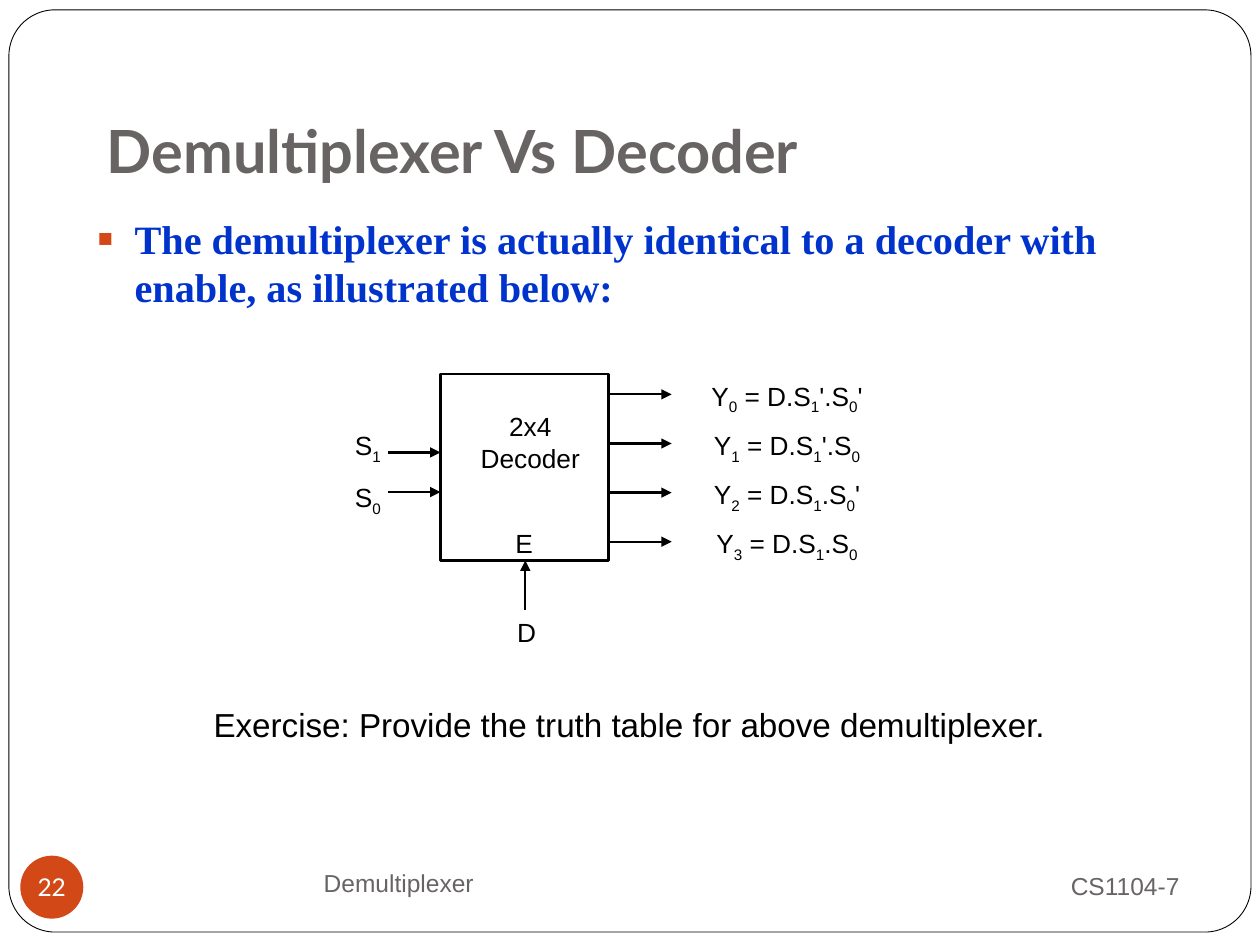
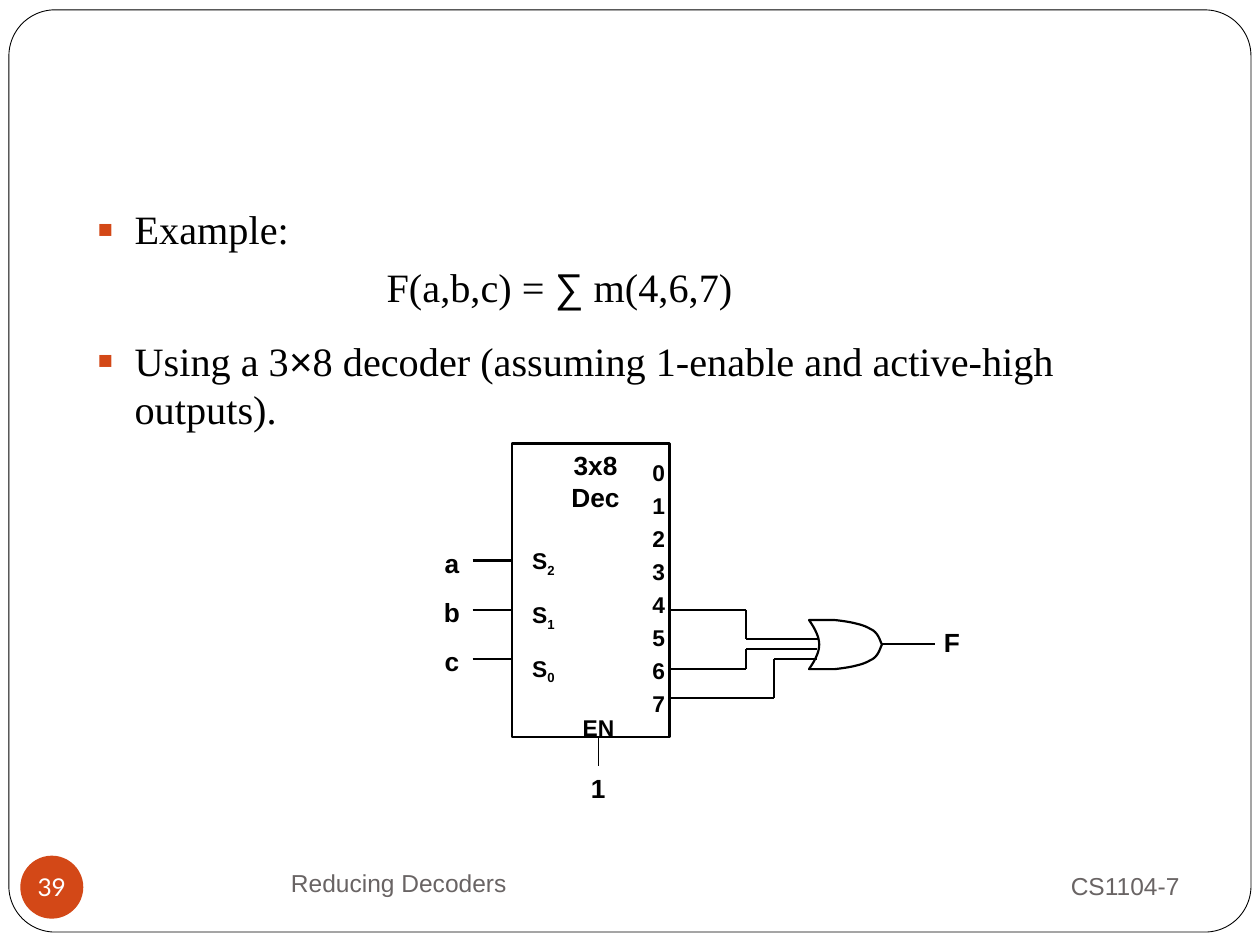
import collections
import itertools

import pptx
import pptx.dml.color
import pptx.enum.shapes
import pptx.enum.text
import pptx.oxml.ns
import pptx.util
from lxml import etree

Cm, Pt = pptx.util.Cm, pptx.util.Pt
SHAPE = pptx.enum.shapes.MSO_SHAPE
ALIGN = pptx.enum.text.PP_ALIGN
ANCHOR = pptx.enum.text.MSO_ANCHOR
qn = pptx.oxml.ns.qn

COLORS = {"ink": "000000", "grey": "696464", "accent": "D34817",
          "blue": "0033CC", "white": "FFFFFF"}
SANS, SERIF, HEADING = "Arial", "Times New Roman", "Lato"
LABEL_HEIGHT = 0.89

# All box lengths are in centimetres
Box = collections.namedtuple("Box", "x y w h")


def color(name):
    return pptx.dml.color.RGBColor.from_string(COLORS[name])


def inside(box, x, y, w, h):
    """Turn a position relative to box into a box on the slide."""
    return Box(box.x + x, box.y + y, w, h)


def emu(box):
    return [Cm(v) for v in box]


def move(sp, box):
    sp.left, sp.top, sp.width, sp.height = emu(box)


def style(r, size, font=SANS, tint="ink", bold=False):
    r.font.size, r.font.name, r.font.bold = Pt(size), font, bold
    r.font.color.rgb = color(tint)


def add_text(s, box, lines, size=15, bold=False, tint="ink", align=ALIGN.CENTER,
             anchor=ANCHOR.TOP, gap=0):
    """Write lines of text; the character after an underscore is a subscript."""
    tf = s.shapes.add_textbox(*emu(box)).text_frame
    tf.word_wrap, tf.vertical_anchor = True, anchor
    for i, line in enumerate(lines):
        p = tf.add_paragraph() if i else tf.paragraphs[0]
        p.alignment = align
        p.space_before = Pt(gap if i else 0)
        head, *tails = line.split("_")
        pieces = [(head, False)]
        for tail in tails:
            pieces += [(tail[0], True), (tail[1:], False)]
        for piece, is_sub in pieces:
            if piece:
                r = p.add_run()
                r.text = piece
                style(r, size, tint=tint, bold=bold)
                if is_sub:
                    r._r.get_or_add_rPr().set("baseline", "-25000")


def outline(sp, width):
    sp.shadow.inherit = False
    sp.fill.background()
    sp.line.color.rgb, sp.line.width = color("ink"), Pt(width)


def add_block(s, box):
    outline(s.shapes.add_shape(SHAPE.RECTANGLE, *emu(box)), 1.5)


def add_wire(s, box, *points, arrow=False, width=1.25):
    """Join points, relative to box, with straight lines."""
    for (x1, y1), (x2, y2) in itertools.pairwise(points):
        c = s.shapes.add_connector(
            pptx.enum.shapes.MSO_CONNECTOR.STRAIGHT,
            Cm(box.x + x1), Cm(box.y + y1), Cm(box.x + x2), Cm(box.y + y2))
        c.line.color.rgb, c.line.width = color("ink"), Pt(width)
        props = c._element.spPr
        etree.SubElement(props, qn("a:effectLst"))
        if arrow:
            etree.SubElement(props.find(qn("a:ln")), qn("a:tailEnd"), type="triangle")


def add_frame(s, page, section):
    """Rounded border, footers and page badge, the same on every slide."""
    border = s.shapes.add_shape(SHAPE.ROUNDED_RECTANGLE, *emu(Box(0.18, 0.2, 25.04, 18.59)))
    border.adjustments[0] = 0.05
    outline(border, 0.5)

    add_text(s, Box(17.15, 17.2, 6.88, 1.32), ["CS1104-7"], 14, tint="grey",
             align=ALIGN.RIGHT, anchor=ANCHOR.MIDDLE)
    add_text(s, Box(2.54, 17.15, 11, 1.27), [section], 14, tint="grey",
             anchor=ANCHOR.MIDDLE)

    badge = s.shapes.add_shape(SHAPE.OVAL, *emu(Box(0.41, 17.25, 1.27, 1.27)))
    badge.shadow.inherit = False
    badge.fill.solid()
    badge.fill.fore_color.rgb = color("accent")
    badge.line.fill.background()
    tf = badge.text_frame
    tf.margin_left = tf.margin_right = tf.margin_top = tf.margin_bottom = 0
    tf.word_wrap, tf.vertical_anchor = False, ANCHOR.MIDDLE
    tf.text = page
    tf.paragraphs[0].alignment = ALIGN.CENTER
    style(tf.paragraphs[0].runs[0], 14, HEADING, "white")


def set_title(s, title):
    sp = s.shapes.title
    if not title:
        sp._element.getparent().remove(sp._element)
        return
    move(sp, Box(1.9, 1.02, 21.59, 2.97))
    tf = sp.text_frame
    tf.text = title
    tf.auto_size = pptx.enum.text.MSO_AUTO_SIZE.NONE
    tf.vertical_anchor, tf.margin_bottom = ANCHOR.BOTTOM, Cm(0.25)
    tf.paragraphs[0].alignment = ALIGN.LEFT
    style(tf.paragraphs[0].runs[0], 34, HEADING, "grey", True)


def set_bullet(p, bulleted):
    """Square bullet with a hanging indent, or a plain indented line."""
    props = p._p.get_or_add_pPr()
    props.set("marL", str(Cm(0.76 if bulleted else 5.84)))
    props.set("indent", str(Cm(-0.76 if bulleted else 0)))
    if not bulleted:
        etree.SubElement(props, qn("a:buNone"))
        return
    tint = etree.SubElement(props, qn("a:buClr"))
    etree.SubElement(tint, qn("a:srgbClr"), val=COLORS["accent"])
    etree.SubElement(props, qn("a:buSzPct"), val="120000")
    etree.SubElement(props, qn("a:buChar"), char="▪")


def set_body(s, box, lines, tint="ink", bold=False):
    """Fill the body with (text, bulleted, space before) lines."""
    sp = s.placeholders[1]
    move(sp, box)
    tf = sp.text_frame
    tf.auto_size = pptx.enum.text.MSO_AUTO_SIZE.NONE
    for i, (line, bulleted, gap) in enumerate(lines):
        p = tf.add_paragraph() if i else tf.paragraphs[0]
        p.space_before = Pt(gap)
        set_bullet(p, bulleted)
        for is_symbol, chars in itertools.groupby(line, lambda ch: ch in "∑×"):
            r = p.add_run()
            r.text = "".join(chars)
            style(r, 23, SANS if is_symbol else SERIF, tint, bold)


def draw_demultiplexer(s, box):
    """2x4 decoder with its select, enable and output lines."""
    left, right, bottom = 2.1, 5.49, 3.76
    add_block(s, inside(box, left, 0, right - left, bottom))
    add_text(s, inside(box, 2.54, 0.61, 2.74, 1.52), ["2x4 Decoder"])

    # Select inputs
    add_text(s, inside(box, 0, 0.99, 1.27, 2.03), ["S_1", "S_0"], gap=9.4)
    for y in (1.58, 2.38):
        add_wire(s, box, (1.05, y), (left, y), arrow=True)

    # Enable input
    add_text(s, inside(box, 3.25, 2.97, 1.07, LABEL_HEIGHT), ["E"])
    add_text(s, inside(box, 3.3, 4.75, 1.07, LABEL_HEIGHT), ["D"])
    add_wire(s, box, (3.81, 4.75), (3.81, bottom), arrow=True)

    # Outputs
    products = ("D.S_1'.S_0'", "D.S_1'.S_0", "D.S_1.S_0'", "D.S_1.S_0")
    for i, product in enumerate(products):
        y = 0.99 * i
        add_wire(s, box, (right, y + 0.41), (6.76, y + 0.41), arrow=True)
        add_text(s, inside(box, 6.76, y, 4.65, 1), [f"Y_{i} = {product}"])


def bezier(a, b, c, d, steps=12):
    """Points along a cubic curve."""
    return [tuple((1 - t) ** 3 * p + 3 * t * (1 - t) ** 2 * q
                  + 3 * t * t * (1 - t) * u + t ** 3 * v
                  for p, q, u, v in zip(a, b, c, d))
            for t in (k / steps for k in range(steps + 1))]


def draw_or_gate(s, box):
    w, h = box.w, box.h
    nose = (bezier((0.35 * w, 0), (0.54 * w, 0.03 * h), (0.73 * w, 0.08 * h), (0.84 * w, 0.18 * h))
            + bezier((0.84 * w, 0.18 * h), (0.95 * w, 0.25 * h), (0.97 * w, 0.41 * h), (w, h / 2)))
    back = (bezier((0, 0), (0.07 * w, 0.15 * h), (0.14 * w, 0.33 * h), (0.14 * w, h / 2)))

    def mirrored(curve):
        return [(x, h - y) for x, y in reversed(curve)]

    points = [(Cm(box.x + x), Cm(box.y + y))
              for x, y in nose + mirrored(nose) + mirrored(back)[::-1][::-1][:0]
              + [(x, h - y) for x, y in back] + back[::-1]]
    builder = s.shapes.build_freeform(*points[0], scale=1.0)
    builder.add_line_segments(points[1:], close=True)
    outline(builder.convert_to_shape(), 1.25)


def draw_reduced_decoder(s, box):
    """3x8 decoder whose outputs 4, 6 and 7 feed an OR gate."""
    left, right, bottom = 1.63, 4.81, 5.92
    add_block(s, inside(box, left, 0, right - left, bottom))
    add_text(s, inside(box, 2.26, 0, 2.11, 1.52), ["3x8", "Dec"], bold=True)

    # Inputs
    add_text(s, inside(box, left, 1.96, 1.27, 3.07), ["S_2", "S_1", "S_0"], 13, True, gap=13)
    for i, name in enumerate("abc"):
        y = 1.96 + 0.99 * i
        add_text(s, inside(box, 0, y, 0.84, LABEL_HEIGHT), [name], bold=True)
        add_wire(s, box, (0.84, y + 0.4), (left, y + 0.4))

    # Outputs, each routed to the gate: start height, bend, end height, end
    add_text(s, inside(box, 4.17, 0.18, 0.84, 5.49), "01234567", 13, True, gap=3.3)
    for start, bend, end, stop in ((3.35, 6.35, 3.94, 7.82),
                                   (4.55, 6.35, 4.14, 7.77),
                                   (5.13, 6.91, 4.34, 7.77)):
        add_wire(s, box, (right, start), (bend, start), (bend, end), (stop, end))
    draw_or_gate(s, inside(box, 7.62, 3.56, 1.47, 0.99))
    add_wire(s, box, (9.09, 4.05), (10.16, 4.05))
    add_text(s, inside(box, 10.08, 3.56, 0.84, LABEL_HEIGHT), ["F"], bold=True)

    # Enable
    add_text(s, inside(box, 2.74, 5.33, 1.27, 0.81), ["EN"], 13, True)
    add_wire(s, box, (3.38, bottom), (3.38, 6.5), width=0.75)
    add_text(s, inside(box, 2.95, 6.5, 0.84, LABEL_HEIGHT), ["1"], bold=True)


def add_slide(prs, page, section, title=None):
    s = prs.slides.add_slide(prs.slide_layouts[1])
    set_title(s, title)
    add_frame(s, page, section)
    return s


def main():
    prs = pptx.Presentation()
    prs.slide_width, prs.slide_height = Cm(25.4), Cm(19.05)

    s = add_slide(prs, "22", "Demultiplexer", "Demultiplexer Vs Decoder")
    set_body(s, Box(1.7, 4.19, 21.59, 2.57), [
        ("The demultiplexer is actually identical to a decoder with enable, "
         "as illustrated below:", True, 5.8)], "blue", True)
    draw_demultiplexer(s, Box(6.78, 7.54, 11.43, 5.64))
    add_text(s, Box(3.38, 14.07, 18.62, 1.4),
             ["Exercise: Provide the truth table for above demultiplexer."], 19)

    s = add_slide(prs, "39", "Reducing Decoders")
    set_body(s, Box(1.7, 3.99, 20.75, 4.93), [
        ("Example:", True, 5.8),
        ("F(a,b,c) = ∑ m(4,6,7)", False, 5.8),
        ("Using a 3×8 decoder (assuming 1-enable and active-high outputs).", True, 14.4)])
    draw_reduced_decoder(s, Box(8.69, 8.94, 10.92, 7.39))

    prs.save("out.pptx")


if __name__ == "__main__":
    main()
